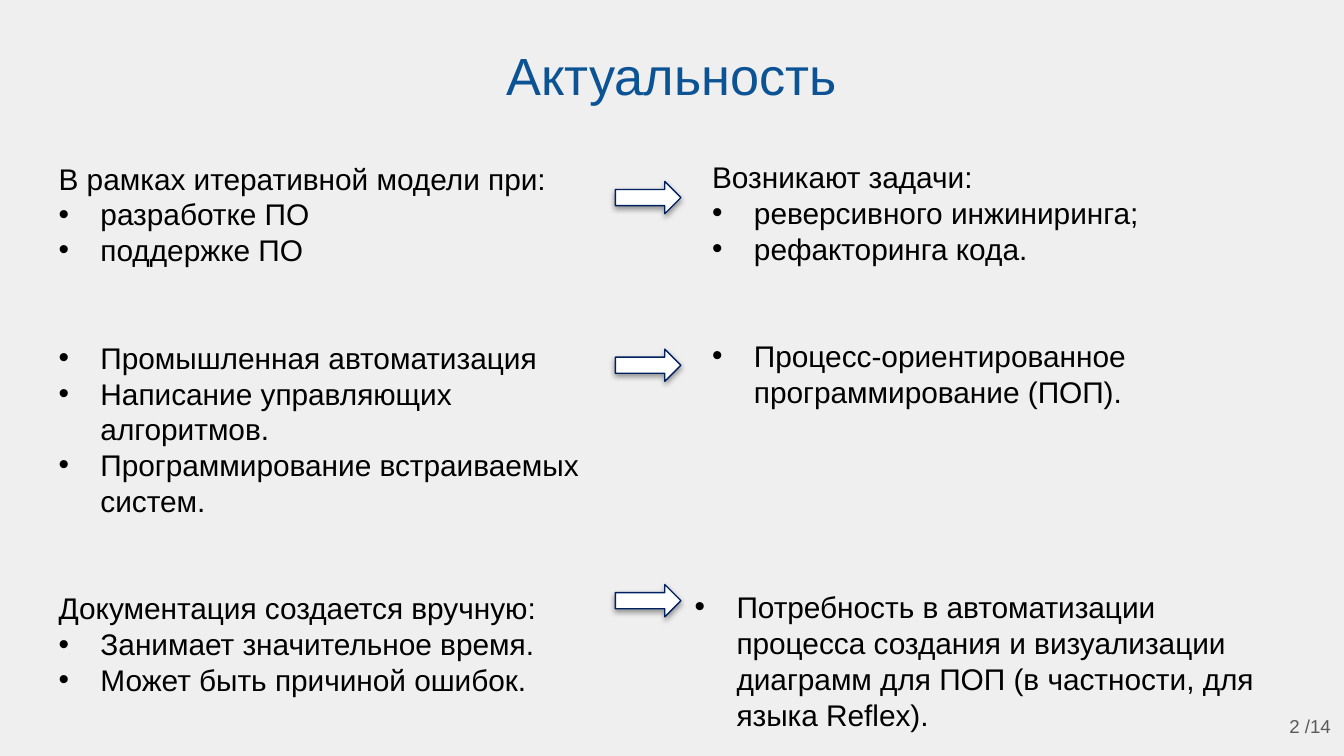
from lxml import etree
from pptx import Presentation
from pptx.dml.color import RGBColor
from pptx.enum.shapes import MSO_SHAPE
from pptx.enum.text import MSO_ANCHOR, PP_ALIGN
from pptx.oxml.ns import qn
from pptx.util import Cm, Pt

RIGHT_ARROW = MSO_SHAPE.RIGHT_ARROW
TOP, MIDDLE = MSO_ANCHOR.TOP, MSO_ANCHOR.MIDDLE
LEFT, CENTER, RIGHT = PP_ALIGN.LEFT, PP_ALIGN.CENTER, PP_ALIGN.RIGHT

BACKGROUND = RGBColor(0xEF, 0xEF, 0xEF)
BLACK = RGBColor(0x00, 0x00, 0x00)
WHITE = RGBColor(0xFF, 0xFF, 0xFF)
NAVY = RGBColor(0x00, 0x20, 0x60)
TITLE_BLUE = RGBColor(0x0B, 0x53, 0x94)
GREY = RGBColor(0x59, 0x59, 0x59)

FONT = "Arial"
BODY_SIZE = 16
LINE_PITCH = 19.2
GROUP_GAP = 2 * LINE_PITCH
BULLET_INDENT = Cm(0.79)

# Each group is an optional heading and its bulleted items
CAUSES = [
    ("В рамках итеративной модели при:", ["разработке ПО", "поддержке ПО"]),
    (None, ["Промышленная автоматизация", "Написание управляющих алгоритмов.",
            "Программирование встраиваемых систем."]),
    ("Документация создается вручную:",
     ["Занимает значительное время.", "Может быть причиной ошибок."]),
]
TASKS = [
    ("Возникают задачи:", ["реверсивного инжиниринга;", "рефакторинга кода."]),
    (None, ["Процесс-ориентированное программирование (ПОП)."]),
]
NEED = [
    (None, ["Потребность в автоматизации процесса создания и визуализации "
            "диаграмм для ПОП (в частности, для языка Reflex)."]),
]


def add_frame(page, box, margin_x, margin_y, anchor=TOP):
    frame = page.shapes.add_textbox(*map(Cm, box)).text_frame
    frame.word_wrap = True
    frame.vertical_anchor = anchor
    frame.margin_left = frame.margin_right = Cm(margin_x)
    frame.margin_top = frame.margin_bottom = Cm(margin_y)
    return frame


def style_para(para, size, color, align=LEFT):
    para.alignment = align
    para.font.name = FONT
    para.font.size = Pt(size)
    para.font.color.rgb = color


def add_bullet(para):
    props = para._p.get_or_add_pPr()
    props.set("marL", str(BULLET_INDENT))
    props.set("indent", str(-BULLET_INDENT))
    color = etree.SubElement(props, qn("a:buClr"))
    etree.SubElement(color, qn("a:srgbClr"), val=str(BLACK))
    etree.SubElement(props, qn("a:buFont"), typeface=FONT)
    etree.SubElement(props, qn("a:buChar"), char="•")


def add_line(page, box, text, size, color, align, anchor=TOP, pitch=None):
    frame = add_frame(page, box, 0.25, 0.25, anchor)
    para = frame.paragraphs[0]
    para.text = text
    style_para(para, size, color, align)
    if pitch:
        para.line_spacing = Pt(pitch)


def add_groups(page, box, groups):
    frame = add_frame(page, box, 0.25, 0.13)
    para = None
    for heading, items in groups:
        lines = [(heading, False)] if heading else []
        lines += [(item, True) for item in items]
        for index, (text, bulleted) in enumerate(lines):
            starts_group = para is not None and index == 0
            para = frame.paragraphs[0] if para is None else frame.add_paragraph()
            para.text = text
            if bulleted:
                add_bullet(para)
            style_para(para, BODY_SIZE, BLACK)
            para.line_spacing = Pt(LINE_PITCH)
            if starts_group:
                para.space_before = Pt(GROUP_GAP)


def add_arrow(page, box):
    arrow = page.shapes.add_shape(RIGHT_ARROW, *map(Cm, box))
    arrow.fill.solid()
    arrow.fill.fore_color.rgb = WHITE
    arrow.line.color.rgb = NAVY
    arrow.line.width = Pt(0.75)
    # Soft shadow straight below the arrow
    arrow.shadow.inherit = False
    effects = arrow._element.spPr.find(qn("a:effectLst"))
    shadow = etree.SubElement(effects, qn("a:outerShdw"), blurRad=str(Pt(3.1)),
                              dist=str(Pt(1.6)), dir="5400000", rotWithShape="0")
    color = etree.SubElement(shadow, qn("a:srgbClr"), val=str(BLACK))
    etree.SubElement(color, qn("a:alpha"), val="38000")


def main():
    deck = Presentation()
    deck.slide_width, deck.slide_height = Cm(25.4), Cm(14.29)
    page = deck.slides.add_slide(deck.slide_layouts[6])
    page.background.fill.solid()
    page.background.fill.fore_color.rgb = BACKGROUND

    # Causes on the left, what follows from them on the right
    add_groups(page, (0.86, 2.9, 10.97, 11.13), CAUSES)
    add_groups(page, (13.21, 2.87, 11.28, 5.64), TASKS)
    add_groups(page, (12.88, 11, 11.4, 3.29), NEED)
    for top in (3.43, 6.6, 11.05):
        add_arrow(page, (11.63, top, 1.24, 0.61))

    # Title and page number
    add_line(page, (0.86, 0.51, 23.67, 1.37), "Актуальность", 28, TITLE_BLUE,
             CENTER, pitch=35)
    add_line(page, (23.88, 13.18, 1.52, 1.09), "2 /14", 10, GREY, RIGHT, MIDDLE)

    deck.save("out.pptx")


if __name__ == "__main__":
    main()
